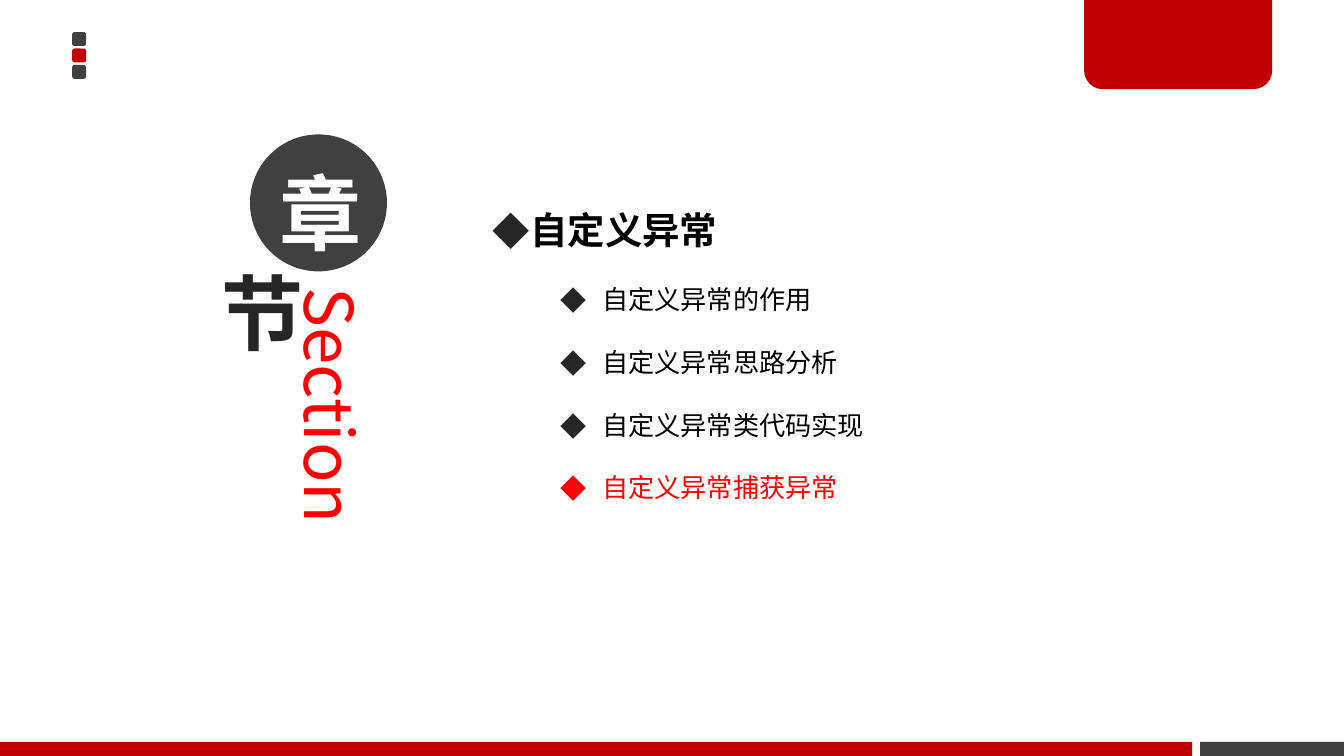
from lxml import etree
from pptx import Presentation
from pptx.dml.color import RGBColor
from pptx.enum.shapes import MSO_SHAPE as SHAPE
from pptx.enum.text import MSO_ANCHOR as ANCHOR, PP_ALIGN as ALIGN
from pptx.oxml.ns import qn
from pptx.util import Pt

FONT = "Noto Sans CJK SC"
RED, BRIGHT, GREY, DARK = "C00000", "FF0000", "404040", "262626"
WHITE, BLACK = "FFFFFF", "000000"
TITLE = "自定义异常"
TOPICS = ["自定义异常的作用", "自定义异常思路分析", "自定义异常类代码实现", "自定义异常捕获异常"]
CURRENT = 3


def rgb(color):
    return RGBColor.from_string(color)


def add_block(s, kind, x, y, w, h, fill=None, adj=()):
    sp = s.shapes.add_shape(kind, Pt(x), Pt(y), Pt(w), Pt(h))
    sp.shadow.inherit = False
    sp.line.fill.background()
    if fill:
        sp.fill.solid()
        sp.fill.fore_color.rgb = rgb(fill)
    else:
        sp.fill.background()
    for i, value in enumerate(adj):
        sp.adjustments[i] = value
    return sp


def set_insets(tf, left=5.1, top=2.9, right=5.1, bottom=2.9):
    tf.margin_left, tf.margin_top = Pt(left), Pt(top)
    tf.margin_right, tf.margin_bottom = Pt(right), Pt(bottom)


def write(p, text, size, color=BLACK, bold=False, align=ALIGN.LEFT, spacing=None):
    p.alignment = align
    if spacing:
        p.line_spacing = spacing
    r = p.add_run()
    r.text = text
    r.font.size, r.font.bold, r.font.name = Pt(size), bold, FONT
    r.font.color.rgb = rgb(color)
    ea = etree.SubElement(r.font._element, qn("a:ea"))
    ea.set("typeface", FONT)


def add_bullet(p, color, margin, hang):
    pPr = p._p.get_or_add_pPr()
    pPr.set("marL", str(Pt(margin)))
    pPr.set("indent", str(-Pt(hang)))
    clr = etree.SubElement(pPr, qn("a:buClr"))
    etree.SubElement(clr, qn("a:srgbClr")).set("val", color)
    etree.SubElement(pPr, qn("a:buFont")).set("typeface", FONT)
    etree.SubElement(pPr, qn("a:buChar")).set("char", "◆")


def add_frame(s, w, h):
    """Corner squares, top tab and bottom bar of the page."""
    for i, color in enumerate([GREY, RED, GREY]):
        add_block(s, SHAPE.ROUNDED_RECTANGLE, 38.7, 17.2 + 8.8 * i, 7.4, 7.4, color, [0.167])
    add_block(s, SHAPE.ROUND_2_SAME_RECTANGLE, w - 139.2, 0, 100.8, 47.8, RED, [0, 0.21])
    bar, split = 7.5, 638.7
    add_block(s, SHAPE.RECTANGLE, 0, h - bar, split, bar, RED)
    add_block(s, SHAPE.RECTANGLE, split + 4.2, h - bar, w - split - 4.2, bar, GREY)


def add_section_mark(s, x, y):
    box = s.shapes.add_textbox(Pt(x + 49), Pt(y + 79.2), Pt(50.4), Pt(208))
    tf = box.text_frame
    tf.word_wrap = True
    set_insets(tf)
    tf._txBody.bodyPr.set("vert", "vert")
    write(tf.paragraphs[0], "Section", 36, BRIGHT)

    marks = [("章", 28.8, 0, 73.4, GREY, WHITE, 10.8, Pt(70)),
             ("节", 0, 66.2, 57.6, None, DARK, 2.9, None)]
    for text, dx, dy, size, fill, color, bottom, spacing in marks:
        sp = add_block(s, SHAPE.OVAL, x + dx, y + dy, size, size, fill)
        tf = sp.text_frame
        tf.word_wrap = True
        tf.vertical_anchor = ANCHOR.MIDDLE
        set_insets(tf, bottom=bottom)
        write(tf.paragraphs[0], text, 44, color, True, ALIGN.CENTER, spacing)


def add_topics(s, x, y, w, h):
    tf = s.shapes.add_textbox(Pt(x), Pt(y), Pt(w), Pt(h)).text_frame
    tf.word_wrap = True
    p = tf.paragraphs[0]
    write(p, TITLE, 20, bold=True, spacing=2.0)
    add_bullet(p, DARK, 13.5, 13.5)
    for i, topic in enumerate(TOPICS):
        p = tf.add_paragraph()
        p.level = 1
        current = i == CURRENT
        write(p, topic, 14, BRIGHT if current else BLACK, spacing=2.0)
        add_bullet(p, BRIGHT if current else DARK, 58.5, 22.5)


def main():
    prs = Presentation()
    prs.slide_width, prs.slide_height = Pt(720), Pt(405)
    s = prs.slides.add_slide(prs.slide_layouts[6])
    add_frame(s, 720, 405)
    add_section_mark(s, 105.1, 72)
    add_topics(s, 257, 83.5, 222.5, 220.3)
    prs.save("out.pptx")


if __name__ == "__main__":
    main()
